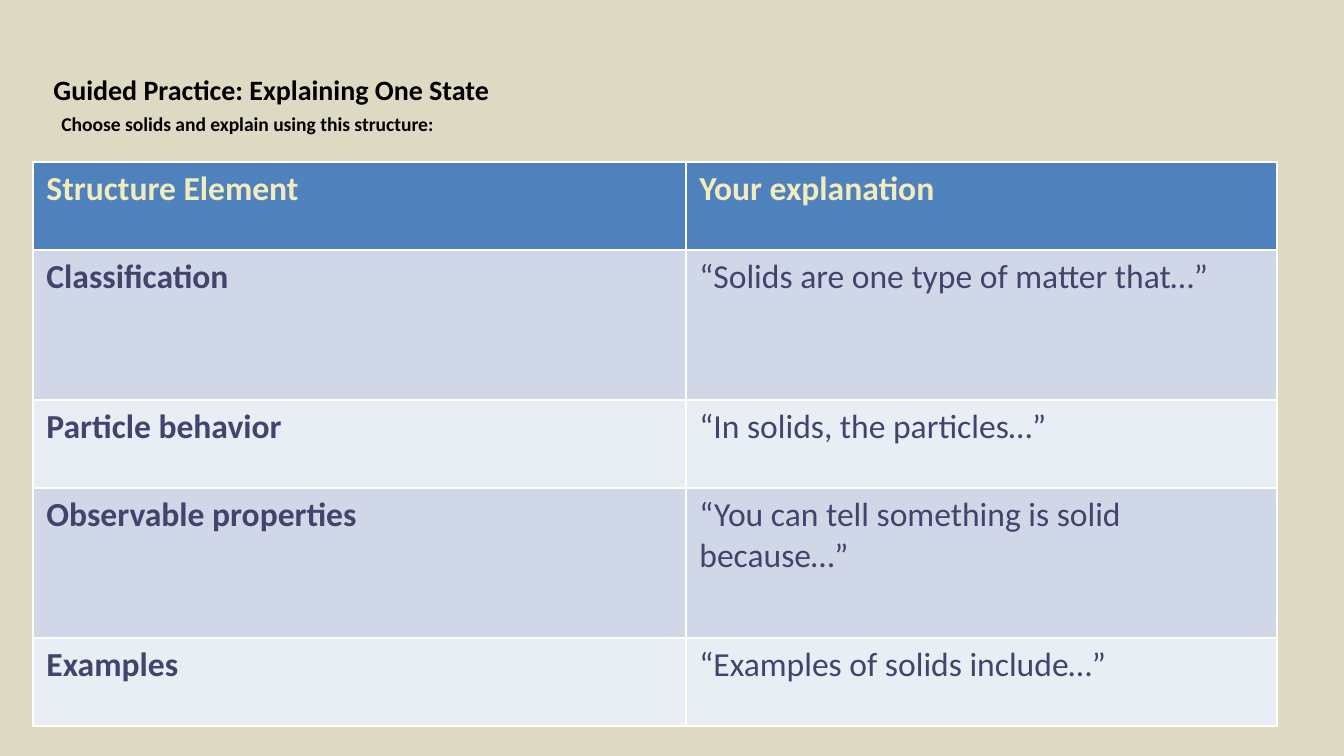
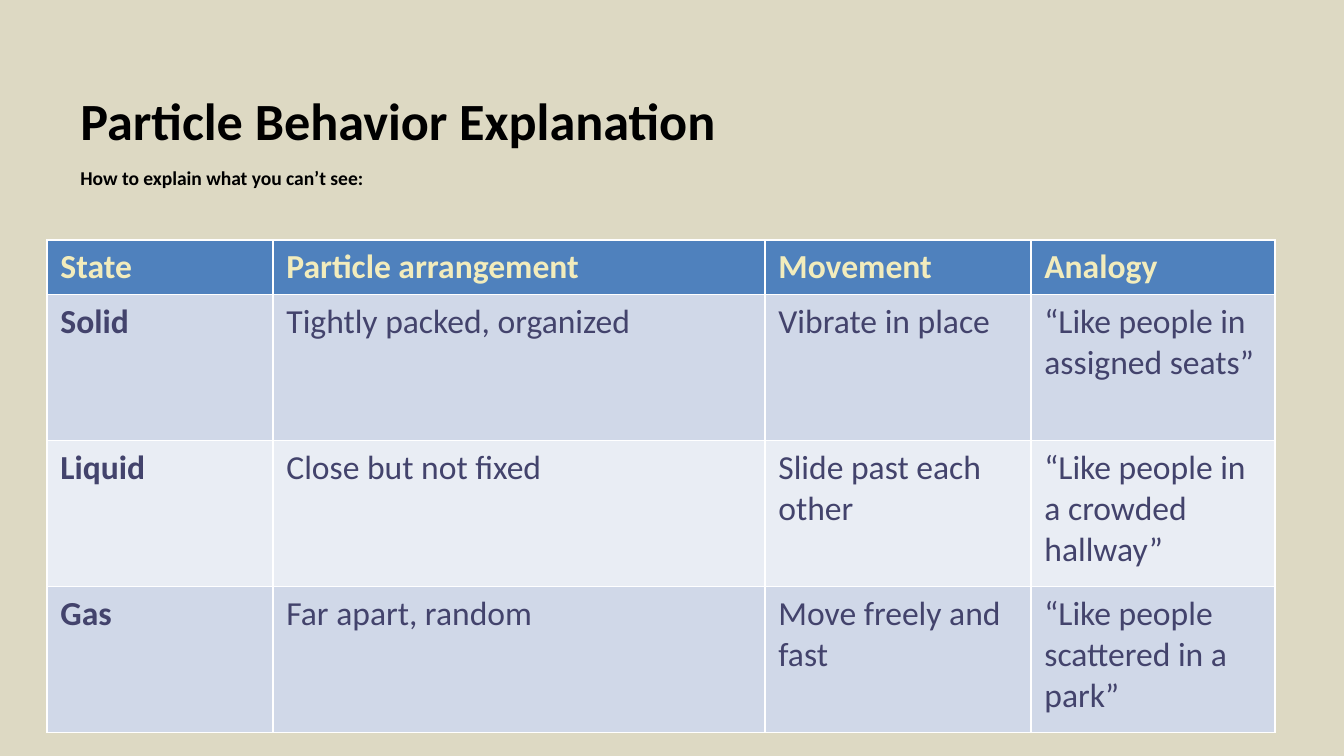
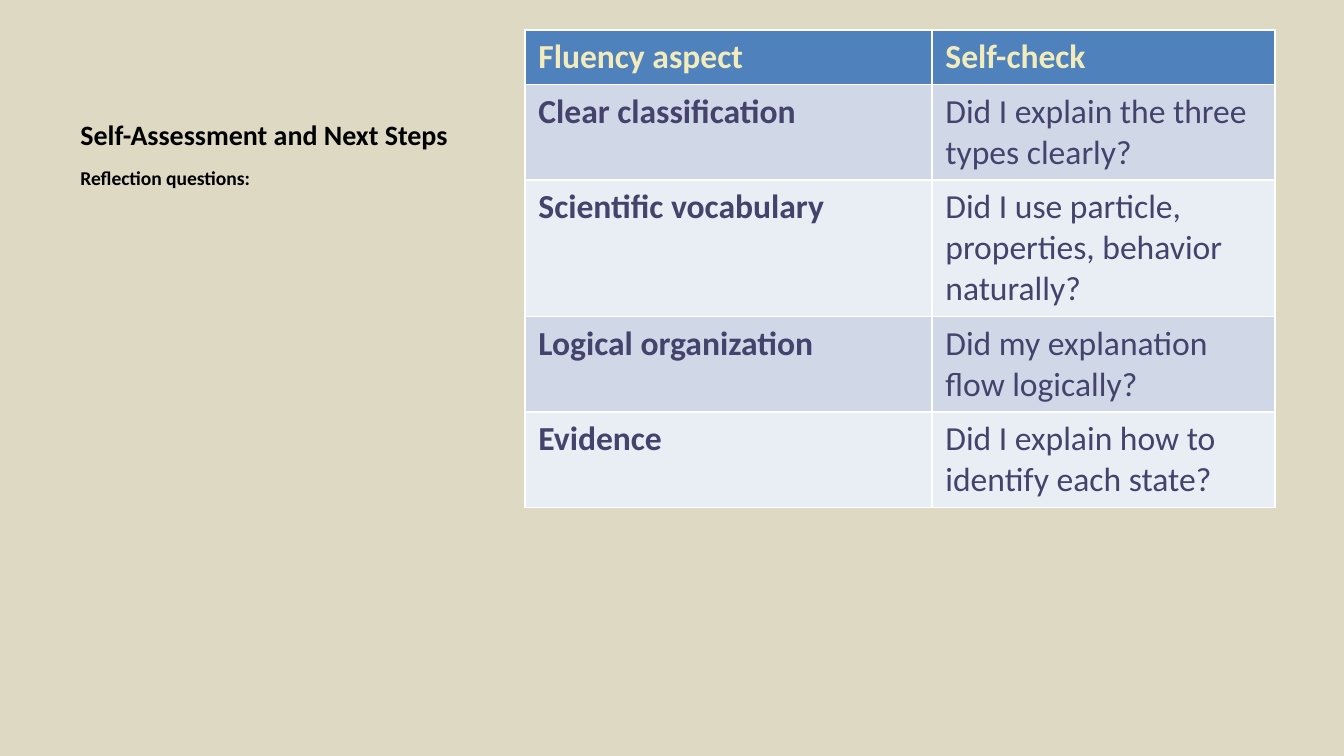
import pptx
import pptx.util
import pptx.dml.color
import pptx.enum.text
import pptx.oxml
import pptx.oxml.ns

RGBColor = pptx.dml.color.RGBColor
SAND = RGBColor(0xDD, 0xD9, 0xC3)
BLACK = RGBColor(0x00, 0x00, 0x00)
WHITE = RGBColor(0xFF, 0xFF, 0xFF)
INDIGO = RGBColor(0x43, 0x43, 0x6C)
CREAM = RGBColor(0xF2, 0xEC, 0xBC)
BLUE = RGBColor(0x4F, 0x81, 0xBD)
BANDS = (RGBColor(0xD0, 0xD8, 0xE8), RGBColor(0xE9, 0xED, 0xF4))

EMU_PER_PX = 914400 / 134.4
SLIDE_SIZE = (1344, 756)
CAPTION_LAYOUT = 7
TITLE_HEIGHT = 128
PROMPT_SIZE = (442, 517)
BORDER_PT = 1

TITLE_FORMAT = {"name": "Calibri", "bold": True}
PROMPT_FORMAT = {"name": "Calibri", "bold": True, "size": pptx.util.Pt(10.5)}
CELL_FORMAT = {"name": "Calibri", "size": pptx.util.Pt(18)}

LESSONS = [
    {
        "title": "Guided Practice: Explaining One State",
        "title_pt": 15,
        "title_box": (40, -15, 1236),
        "prompt": "Choose solids and explain using this structure:",
        "prompt_at": (48, 105),
        "table_at": (33, 162),
        "columns": (653, 591),
        "rows": (88, 150, 88, 150, 88),
        "cells": [
            ("Structure Element", "Your explanation"),
            ("Classification", "“Solids are one type of matter that…”"),
            ("Particle behavior", "“In solids, the particles…”"),
            ("Observable properties", "“You can tell something is solid because…”"),
            ("Examples", "“Examples of solids include…”"),
        ],
    },
    {
        "title": "Particle Behavior Explanation",
        "title_pt": 28,
        "title_box": (67, 30, 1230),
        "prompt": "How to explain what you can’t see:",
        "prompt_at": (67, 159),
        "table_at": (47, 240),
        "columns": (226, 492, 266, 244),
        "rows": (54, 146, 146, 146),
        "cells": [
            ("State", "Particle arrangement", "Movement", "Analogy"),
            ("Solid", "Tightly packed, organized", "Vibrate in place",
             "“Like people in assigned seats”"),
            ("Liquid", "Close but not fixed", "Slide past each other",
             "“Like people in a crowded hallway”"),
            ("Gas", "Far apart, random", "Move freely and fast",
             "“Like people scattered in a park”"),
        ],
    },
    {
        "title": "Self-Assessment and Next Steps",
        "title_pt": 15,
        "title_box": (67, 30, 442),
        "prompt": "Reflection questions:",
        "prompt_at": (67, 159),
        "table_at": (525, 30),
        "columns": (407, 343),
        "rows": (54, 95, 136, 95, 95),
        "cells": [
            ("Fluency aspect", "Self-check"),
            ("Clear classification", "Did I explain the three types clearly?"),
            ("Scientific vocabulary",
             "Did I use particle, properties, behavior naturally?"),
            ("Logical organization", "Did my explanation flow logically?"),
            ("Evidence", "Did I explain how to identify each state?"),
        ],
    },
]


def px(length):
    return pptx.util.Emu(round(length * EMU_PER_PX))


def write(frame, text, color, formats):
    """Fill a text frame with one formatted run and return its paragraph."""
    paragraph = frame.paragraphs[0]
    run = paragraph.add_run()
    run.text = text
    run.font.color.rgb = color
    for key, value in formats.items():
        setattr(run.font, key, value)
    return paragraph


def place(shape, box):
    for side, length in zip(("left", "top", "width", "height"), box):
        setattr(shape, side, px(length))


def add_heading(slide, lesson):
    title = slide.shapes.title
    place(title, (*lesson["title_box"], TITLE_HEIGHT))
    title.text_frame.vertical_anchor = pptx.enum.text.MSO_ANCHOR.BOTTOM
    title_size = pptx.util.Pt(lesson["title_pt"])
    write(title.text_frame, lesson["title"], BLACK, {**TITLE_FORMAT, "size": title_size})

    prompt = slide.placeholders[2]
    place(prompt, (*lesson["prompt_at"], *PROMPT_SIZE))
    paragraph = write(prompt.text_frame, lesson["prompt"], BLACK, PROMPT_FORMAT)
    paragraph.space_before = pptx.util.Pt(30)


def add_borders(cell):
    properties = cell._tc.get_or_add_tcPr()
    for side in "LRTB":
        properties.append(pptx.oxml.parse_xml(
            f'<a:ln{side} {pptx.oxml.ns.nsdecls("a")} w="{pptx.util.Pt(BORDER_PT)}">'
            f'<a:solidFill><a:srgbClr val="{WHITE}"/></a:solidFill></a:ln{side}>'))


def add_grid(slide, at, columns, rows, cells):
    """Add a table with a blue header, banded rows and a bold first column."""
    box = (*at, sum(columns), sum(rows))
    table = slide.shapes.add_table(len(rows), len(columns), *map(px, box)).table
    for column, width in zip(table.columns, columns):
        column.width = px(width)
    for r, (row, height, texts) in enumerate(zip(table.rows, rows, cells)):
        row.height = px(height)
        is_header = r == 0
        for c, (cell, text) in enumerate(zip(row.cells, texts)):
            add_borders(cell)
            cell.fill.solid()
            cell.fill.fore_color.rgb = BLUE if is_header else BANDS[(r - 1) % 2]
            write(cell.text_frame, text, CREAM if is_header else INDIGO,
                  {**CELL_FORMAT, "bold": is_header or c == 0})


def add_lesson(prs, lesson):
    slide = prs.slides.add_slide(prs.slide_layouts[CAPTION_LAYOUT])
    content = slide.placeholders[1].element
    content.getparent().remove(content)
    add_heading(slide, lesson)
    add_grid(slide, lesson["table_at"], lesson["columns"], lesson["rows"], lesson["cells"])


def main():
    prs = pptx.Presentation()
    prs.slide_width, prs.slide_height = map(px, SLIDE_SIZE)
    background = prs.slide_master.background.fill
    background.solid()
    background.fore_color.rgb = SAND
    for lesson in LESSONS:
        add_lesson(prs, lesson)
    prs.save("out.pptx")


if __name__ == "__main__":
    main()
